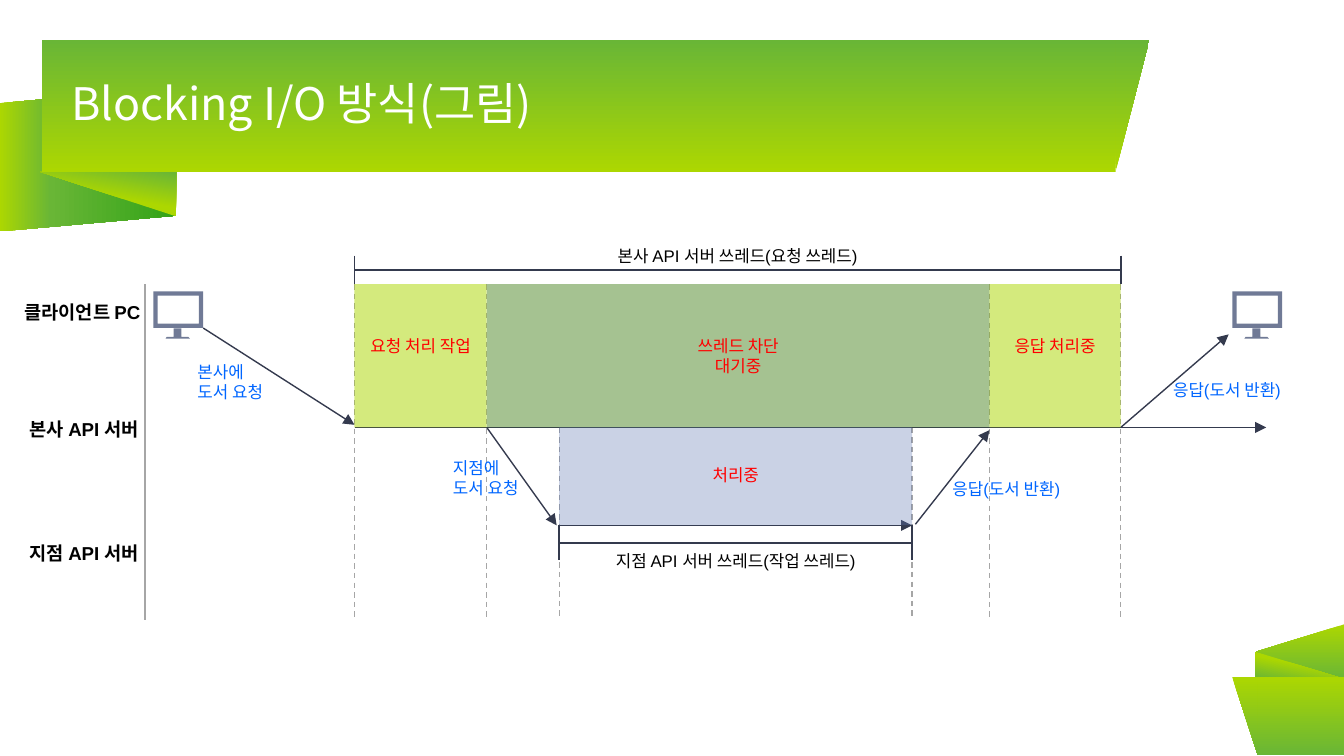
"""Build the slide that explains blocking I/O between two API servers."""
from pptx import Presentation
from pptx.dml.color import RGBColor
from pptx.enum.dml import MSO_LINE
from pptx.enum.shapes import MSO_CONNECTOR, MSO_SHAPE as SHAPE
from pptx.enum.text import MSO_ANCHOR, MSO_AUTO_SIZE, PP_ALIGN as AL
from pptx.oxml import parse_xml
from pptx.oxml.ns import nsdecls, qn
from pptx.util import Cm, Pt
from lxml.etree import SubElement

LIME, GREEN, DEEP = "ACD701", "69B636", "32A318"
INK, GREY, BLUE, RED, BLACK = "343A4E", "A6A6A6", "0066FF", "FF0000", "000000"
KOREAN = "Noto Sans CJK KR"
FADE = [(0, LIME), (100, GREEN)]
FOLD = [(0, LIME), (47, LIME), (100, GREEN)]
SIDE = [(0, LIME), (29, GREEN), (100, DEEP)]


def rgb(value):
    return RGBColor.from_string(value)


class Deck:
    """Holds the style and the current slide, and draws each kind of element."""

    def __init__(self, prs):
        self.s = prs.slides.add_slide(prs.slide_layouts[5])
        self.shapes = self.s.shapes

    def run(self, p, text, size, color, font="Arial", bold=False, shadow=False):
        r = p.add_run()
        r.text = text
        r.font.size, r.font.bold = Pt(size), bold
        r.font.color.rgb = rgb(color)
        rPr = r._r.get_or_add_rPr()
        if shadow:
            rPr.append(parse_xml(
                f'<a:effectLst {nsdecls("a")}><a:outerShdw blurRad="38100" dist="25400" '
                'dir="2700000"><a:srgbClr val="000000"><a:alpha val="35000"/>'
                '</a:srgbClr></a:outerShdw></a:effectLst>'))
        r.font.name = font
        SubElement(rPr, qn("a:ea")).set("typeface", KOREAN)

    def title(self, text, x, y, w, h):
        sp = self.shapes.title
        sp.left, sp.top, sp.width, sp.height = Cm(x), Cm(y), Cm(w), Cm(h)
        tf = sp.text_frame
        tf.margin_left = tf.margin_right = tf.margin_top = tf.margin_bottom = 0
        tf.vertical_anchor, tf.auto_size = MSO_ANCHOR.MIDDLE, MSO_AUTO_SIZE.NONE
        p = tf.paragraphs[0]
        p.alignment, p.line_spacing = AL.LEFT, 0.9
        self.run(p, text, 24, "FFFFFF", KOREAN, shadow=True)
        sp.element.getparent().append(sp.element)

    def text(self, lines, x, y, w, h=0.64, color=BLACK, align=AL.CENTER, size=9, bold=False):
        tf = self.shapes.add_textbox(Cm(x), Cm(y), Cm(w), Cm(h)).text_frame
        tf.word_wrap = True
        for i, line in enumerate(lines):
            p = tf.add_paragraph() if i else tf.paragraphs[0]
            p.alignment = align
            self.run(p, line, size, color, bold=bold)

    def shape(self, kind, x, y, w, h):
        sp = self.shapes.add_shape(kind, Cm(x), Cm(y), Cm(w), Cm(h))
        sp.shadow.inherit = False
        sp.line.fill.background()
        return sp

    def bar(self, x1, y1, x2, y2, color, opacity):
        sp = self.shape(SHAPE.RECTANGLE, x1, y1, x2 - x1, y2 - y1)
        sp.fill.solid()
        sp.fill.fore_color.rgb = rgb(color)
        clr = sp.element.spPr.find(".//" + qn("a:srgbClr"))
        SubElement(clr, qn("a:alpha")).set("val", str(opacity * 1000))

    def ribbon(self, kind, box, stops, angle, rotation=0, flip=False, adj=None):
        sp = self.shape(kind, *box)
        sp.rotation = rotation
        if adj is not None:
            sp.adjustments[0] = adj
        spPr = sp.element.spPr
        if flip:
            spPr.find(qn("a:xfrm")).set("flipH", "1")
        gs = "".join(f'<a:gs pos="{pos * 1000}"><a:srgbClr val="{c}"/></a:gs>' for pos, c in stops)
        spPr.insert(2, parse_xml(
            f'<a:gradFill {nsdecls("a")} rotWithShape="1"><a:gsLst>{gs}</a:gsLst>'
            f'<a:lin ang="{angle * 60000}" scaled="0"/></a:gradFill>'))

    def line(self, x1, y1, x2, y2, color=INK, width=0.75, dash=False, arrow=False):
        c = self.shapes.add_connector(MSO_CONNECTOR.STRAIGHT, Cm(x1), Cm(y1), Cm(x2), Cm(y2))
        c.line.color.rgb, c.line.width = rgb(color), Pt(width)
        if dash:
            c.line.dash_style = MSO_LINE.DASH
        if arrow:
            SubElement(c.line._get_or_add_ln(), qn("a:tailEnd")).set("type", "triangle")
        SubElement(c.element.spPr, qn("a:effectLst"))

    def outline(self, x, y, contours, color):
        def at(dx, dy):
            return Cm(x + dx), Cm(y + dy)
        fb = self.shapes.build_freeform(*at(*contours[0][0]))
        for i, points in enumerate(contours):
            if i:
                fb.move_to(*at(*points[0]))
            fb.add_line_segments([at(*pt) for pt in points[1:]], close=True)
        sp = fb.convert_to_shape()
        sp.shadow.inherit = False
        sp.fill.solid()
        sp.fill.fore_color.rgb = rgb(color)
        sp.line.fill.background()

    def monitor(self, x, y):
        w, h, edge = 0.94, 0.69, 0.08
        stand = [(0.38, 0.7), (0.38, 0.86), (0.25, 0.86), (0.23, 0.89),
                 (0.69, 0.89), (0.66, 0.86), (0.53, 0.86), (0.53, 0.7)]
        screen = [(edge, edge), (edge, h - edge), (w - edge, h - edge), (w - edge, edge)]
        frame = [(0, 0), (w, 0), (w, h), (0, h)]
        self.outline(x, y, [stand], "707A96")
        self.outline(x, y, [frame, screen], "707A96")

    def span(self, x1, x2, top, bottom, y):
        for x in (x1, x2):
            self.line(x, top, x, bottom, width=1)
        self.line(x1, y, x2, y, width=1)


def main():
    prs = Presentation()
    prs.slide_width, prs.slide_height = Cm(25.4), Cm(14.29)
    d = Deck(prs)

    d.ribbon(SHAPE.PARALLELOGRAM, (0.3, 1.35, 2.72, 3.33), SIDE, 90, 270, True, 0.109)
    d.ribbon(SHAPE.RIGHT_TRIANGLE, (0.76, 3.25, 2.57, 0.84), FOLD, 100, 180)
    d.ribbon(SHAPE.RECTANGLE, (0.79, 0.76, 20.29, 2.49), FADE, 90, 180, True)
    d.ribbon(SHAPE.ISOSCELES_TRIANGLE, (21.08, 0.76, 0.64, 2.49), FADE, 90, 180, adj=1)
    d.ribbon(SHAPE.ISOSCELES_TRIANGLE, (24.05, 11.48, 1.04, 1.68), FADE, 180, 270, adj=0.5)
    d.ribbon(SHAPE.RIGHT_TRIANGLE, (23.72, 12.32, 1.68, 0.51), FOLD, 100)
    d.ribbon(SHAPE.RECTANGLE, (23.75, 12.8, 1.65, 1.47), FADE, 270, 180)
    d.ribbon(SHAPE.ISOSCELES_TRIANGLE, (23.29, 12.8, 0.48, 1.47), FADE, 270, 180, True, 1)
    d.title("Blocking I/O 방식(그림)", 1.35, 0.76, 20.12, 2.49)

    accept, wait, work, done, reply, end = 6.7, 9.2, 10.57, 17.24, 18.7, 21.18
    top, head, branch, bottom = 5.37, 8.08, 9.93, 11.71

    d.line(2.74, top, 2.74, bottom, GREY)
    for x, y in ((accept, top), (wait, top), (work, head), (done, head), (reply, top), (end, top)):
        d.line(x, y, x, bottom, GREY, dash=True)
    for x1, y1, x2, y2 in ((accept, head, 23.93, head), (work, branch, done, branch),
                           (3.84, 6.2, accept, 8.03), (wait, head, 10.52, branch),
                           (17.3, 9.91, reply, 8.13), (end, head, 23.22, 6.32)):
        d.line(x1, y1, x2, y2, arrow=True)
    for x in (2.9, 23.29):
        d.monitor(x, 5.51)

    d.bar(accept, top, wait, head, LIME, 51)
    d.bar(reply, top, end, head, LIME, 51)
    d.bar(wait, top, reply, head, "4F8828", 51)
    d.bar(work, head, done, branch, "6077B3", 33)
    d.span(accept, end, 4.83, top, 5.11)
    d.span(work, done, branch, 10.59, 10.26)

    for name, x, y, w in (("클라이언트 PC", 0, 5.56, 2.9), ("본사 API 서버", 0.18, 7.77, 2.69),
                          ("지점 API 서버", 0.18, 10.11, 2.69)):
        d.text([name], x, y, w, 0.69, align=AL.RIGHT, size=10, bold=True)
    for lines, x, y, w in ((["본사에", "도서 요청"], 3.48, 6.71, 1.88),
                           (["지점에", "도서 요청"], 8.31, 8.53, 1.88),
                           (["응답(도서 반환)"], 17.75, 8.92, 2.74),
                           (["응답(도서 반환)"], 21.92, 7.06, 2.74)):
        d.text(lines, x, y, w, 0.64 if len(lines) == 1 else 1.02, BLUE, AL.LEFT)
    for lines, x1, x2, y, color in (
            (["본사 API 서버 쓰레드(요청 쓰레드)"], accept, end, 4.52, BLACK),
            (["지점 API 서버 쓰레드(작업 쓰레드)"], work, done, 10.29, BLACK),
            (["요청 처리 작업"], accept, wait, 6.22, RED),
            (["쓰레드 차단", "대기중"], wait, reply, 6.22, RED),
            (["응답 처리중"], reply, end, 6.22, RED),
            (["처리중"], work, done, 8.66, RED)):
        d.text(lines, x1, y, x2 - x1, color=color)

    prs.save("out.pptx")


if __name__ == "__main__":
    main()
